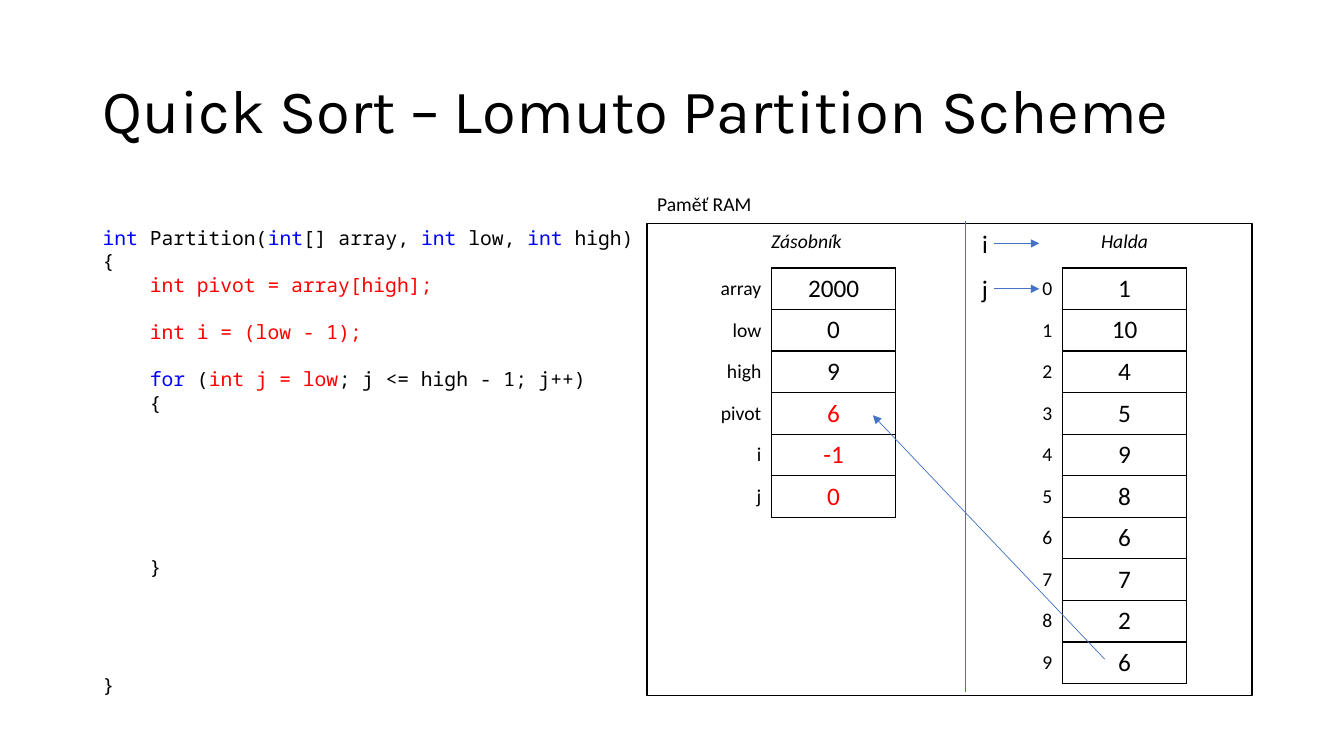
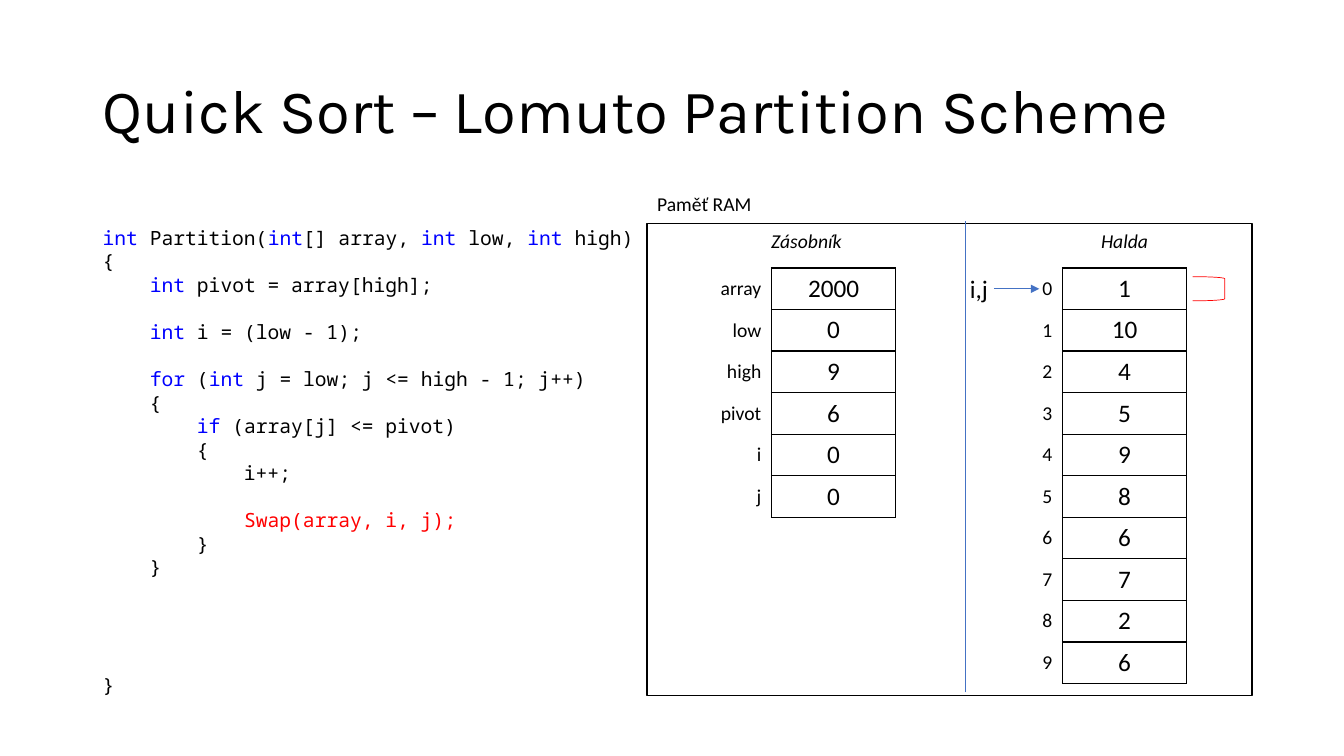
"""Build two slides that step through the Lomuto partition of Quick Sort."""
import lxml.etree
import pptx
import pptx.dml.color
import pptx.enum.shapes
import pptx.enum.text
import pptx.oxml.ns
import pptx.util

BLACK = pptx.dml.color.RGBColor(0x00, 0x00, 0x00)
WHITE = pptx.dml.color.RGBColor(0xFF, 0xFF, 0xFF)
RED = pptx.dml.color.RGBColor(0xFF, 0x00, 0x00)
KEYWORD = pptx.dml.color.RGBColor(0x00, 0x00, 0xFF)
ACCENT = pptx.dml.color.RGBColor(0x44, 0x72, 0xC4)

ALIGN = pptx.enum.text.PP_ALIGN
ANCHOR = pptx.enum.text.MSO_ANCHOR
SHAPE = pptx.enum.shapes.MSO_SHAPE

PANEL_LEFT, PANEL_TOP, PANEL_WIDTH, PANEL_HEIGHT = 48.15, 29.6, 45, 62.4
DIVIDER = 71.85
TABLE_TOP, TABLE_ROW = 35.45, 5.5
STACK_LEFT, STACK_LABEL = 50, 7.4
HEAP_LEFT, HEAP_LABEL = 76.65, 2.4
VALUE_WIDTH = 9.25
LABEL_HEIGHT = 4.5
FIRST_ROW = TABLE_TOP + TABLE_ROW / 2
ABOVE_ROWS = 32.2
CODE_PITCH = 16.8

INT, FOR, IF = ("int", KEYWORD), ("for", KEYWORD), ("if", KEYWORD)
STACK_NAMES = ["array", "low", "high", "pivot", "i", "j"]
HEAP_VALUES = [1, 10, 4, 5, 9, 8, 6, 7, 2, 6]
SIGNATURE = [
    (0, [INT, " Partition(", INT, "[] array, ", INT, " low, ", INT, " high)"]),
    (0, ["{"]),
]


def write(para, text, size=14, font="Calibri", color=BLACK, italic=False, align=ALIGN.LEFT):
    para.alignment = align
    span = para.add_run()
    span.text = text
    span.font.size = pptx.util.Pt(size)
    span.font.name = font
    span.font.color.rgb = color
    span.font.italic = italic


class Deck:
    def __init__(self):
        self.deck = pptx.Presentation()
        self.deck.slide_width = pptx.util.Inches(13.33)
        self.deck.slide_height = pptx.util.Inches(7.5)
        self.page = None

    def new_page(self):
        self.page = self.deck.slides.add_slide(self.deck.slide_layouts[6])

    def x(self, columns):
        return round(self.deck.slide_width * columns / 100)

    def y(self, rows):
        return round(self.deck.slide_height * rows / 100)

    def place(self, left, top, width, height):
        return self.x(left), self.y(top), self.x(width), self.y(height)

    def frame(self, *area, anchor=ANCHOR.TOP):
        box = self.page.shapes.add_textbox(*self.place(*area))
        box.text_frame.word_wrap = True
        box.text_frame.vertical_anchor = anchor
        return box.text_frame

    def text(self, text, *area, anchor=ANCHOR.TOP, spacing=1.0, **style):
        para = self.frame(*area, anchor=anchor).paragraphs[0]
        para.line_spacing = spacing
        write(para, text, **style)

    def shape(self, kind, *area, fill=None, color=BLACK, weight=1):
        shape = self.page.shapes.add_shape(kind, *self.place(*area))
        shape.shadow.inherit = False
        if fill is None:
            shape.fill.background()
        else:
            shape.fill.solid()
            shape.fill.fore_color.rgb = fill
        shape.line.color.rgb = color
        shape.line.width = pptx.util.Pt(weight)

    def line(self, x1, y1, x2, y2, arrow=False):
        line = self.page.shapes.add_connector(
            pptx.enum.shapes.MSO_CONNECTOR.STRAIGHT,
            self.x(x1), self.y(y1), self.x(x2), self.y(y2))
        line.line.color.rgb = ACCENT
        line.line.width = pptx.util.Pt(0.5)
        properties = line.element.spPr
        if arrow:
            outline = properties.find(pptx.oxml.ns.qn("a:ln"))
            lxml.etree.SubElement(outline, pptx.oxml.ns.qn("a:tailEnd"), type="triangle")
        lxml.etree.SubElement(properties, pptx.oxml.ns.qn("a:effectLst"))

    def border(self, cell, sides):
        properties = cell._tc.get_or_add_tcPr()
        for side in sides:
            edge = lxml.etree.SubElement(
                properties, pptx.oxml.ns.qn("a:ln" + side), w=str(pptx.util.Pt(1)))
            fill = lxml.etree.SubElement(edge, pptx.oxml.ns.qn("a:solidFill"))
            lxml.etree.SubElement(fill, pptx.oxml.ns.qn("a:srgbClr"), val=str(BLACK))

    def cell(self, cell, text, sides, **style):
        self.border(cell, sides)
        cell.fill.background()
        cell.vertical_anchor = ANCHOR.MIDDLE
        write(cell.text_frame.paragraphs[0], str(text), **style)

    def memory(self, left, label_width, names, values, changed=()):
        area = self.place(left, TABLE_TOP, label_width + VALUE_WIDTH, TABLE_ROW * len(names))
        table = self.page.shapes.add_table(len(names), 2, *area).table
        table.first_row = table.horz_banding = False
        for column, width in zip(table.columns, (label_width, VALUE_WIDTH)):
            column.width = self.x(width)
        for row, (name, value) in enumerate(zip(names, values)):
            table.rows[row].height = self.y(TABLE_ROW)
            self.cell(table.cell(row, 0), name, "R", align=ALIGN.RIGHT)
            self.cell(table.cell(row, 1), value, "LRTB", size=18, align=ALIGN.CENTER,
                      color=RED if name in changed else BLACK)

    def code(self, lines):
        frame = self.frame(6.9, 29.2, 41.2, 64.13)
        for number, (gap, spans) in enumerate(lines):
            para = frame.add_paragraph() if number else frame.paragraphs[0]
            para.line_spacing = pptx.util.Pt(CODE_PITCH)
            if gap:
                para.space_before = pptx.util.Pt(CODE_PITCH * gap)
            for span in spans:
                text, color = (span, BLACK) if isinstance(span, str) else span
                write(para, text, font="Noto Sans Mono", color=color)

    def pointer(self, label, middle):
        self.line(73.95, middle, 77.33, middle, arrow=True)
        self.text(label, 70.5, middle - 2.67, 3.75, 5.33, size=18, align=ALIGN.RIGHT)

    def step(self, body, stack_values, changed=()):
        self.new_page()
        self.text("Quick Sort – Lomuto Partition Scheme", 6.9, 5.33, 86.25, 19.33,
                  anchor=ANCHOR.MIDDLE, spacing=0.9, size=44, font="Karla")
        self.shape(SHAPE.RECTANGLE, PANEL_LEFT, PANEL_TOP, PANEL_WIDTH, PANEL_HEIGHT, fill=WHITE)
        self.text("Paměť RAM", PANEL_LEFT, 24.67, PANEL_WIDTH, LABEL_HEIGHT)
        self.line(DIVIDER, 91.6, DIVIDER, 29.2)
        headings = [("Zásobník", PANEL_LEFT, DIVIDER - PANEL_LEFT),
                    ("Halda", HEAP_LEFT + HEAP_LABEL, VALUE_WIDTH)]
        for heading, left, width in headings:
            self.text(heading, left, PANEL_TOP, width, LABEL_HEIGHT,
                      italic=True, align=ALIGN.CENTER)
        self.code(SIGNATURE + body + [(4, ["}"])])
        self.memory(HEAP_LEFT, HEAP_LABEL, range(len(HEAP_VALUES)), HEAP_VALUES)
        self.memory(STACK_LEFT, STACK_LABEL, STACK_NAMES, stack_values, changed)


def main():
    deck = Deck()

    deck.step([
        (0, ["    ", ("int pivot = array[high];", RED)]),
        (1, ["    ", ("int i = (low - 1);", RED)]),
        (1, ["    ", FOR, " (", ("int j = low", RED), "; j <= high - 1; j++)"]),
        (0, ["    {"]),
        (6, ["    }"]),
    ], [2000, 0, 9, 6, -1, 0], changed=("pivot", "i", "j"))
    deck.pointer("i", ABOVE_ROWS)
    deck.pointer("j", FIRST_ROW)
    deck.line(82.2, 87.2, 64.95, 54.93, arrow=True)

    deck.step([
        (0, ["    ", INT, " pivot = array[high];"]),
        (1, ["    ", INT, " i = (low - 1);"]),
        (1, ["    ", FOR, " (", INT, " j = low; j <= high - 1; j++)"]),
        (0, ["    {"]),
        (0, ["        ", IF, " (array[j] <= pivot)"]),
        (0, ["        {"]),
        (0, ["            i++;"]),
        (1, ["            ", ("Swap(array, i, j);", RED)]),
        (0, ["        }"]),
        (0, ["    }"]),
    ], [2000, 0, 9, 6, 0, 0])
    deck.pointer("i,j", FIRST_ROW)
    deck.shape(SHAPE.RIGHT_BRACKET, 88.73, FIRST_ROW - 1.6, 2.4, 3.2, color=RED, weight=0.5)

    deck.deck.save("out.pptx")


if __name__ == "__main__":
    main()
